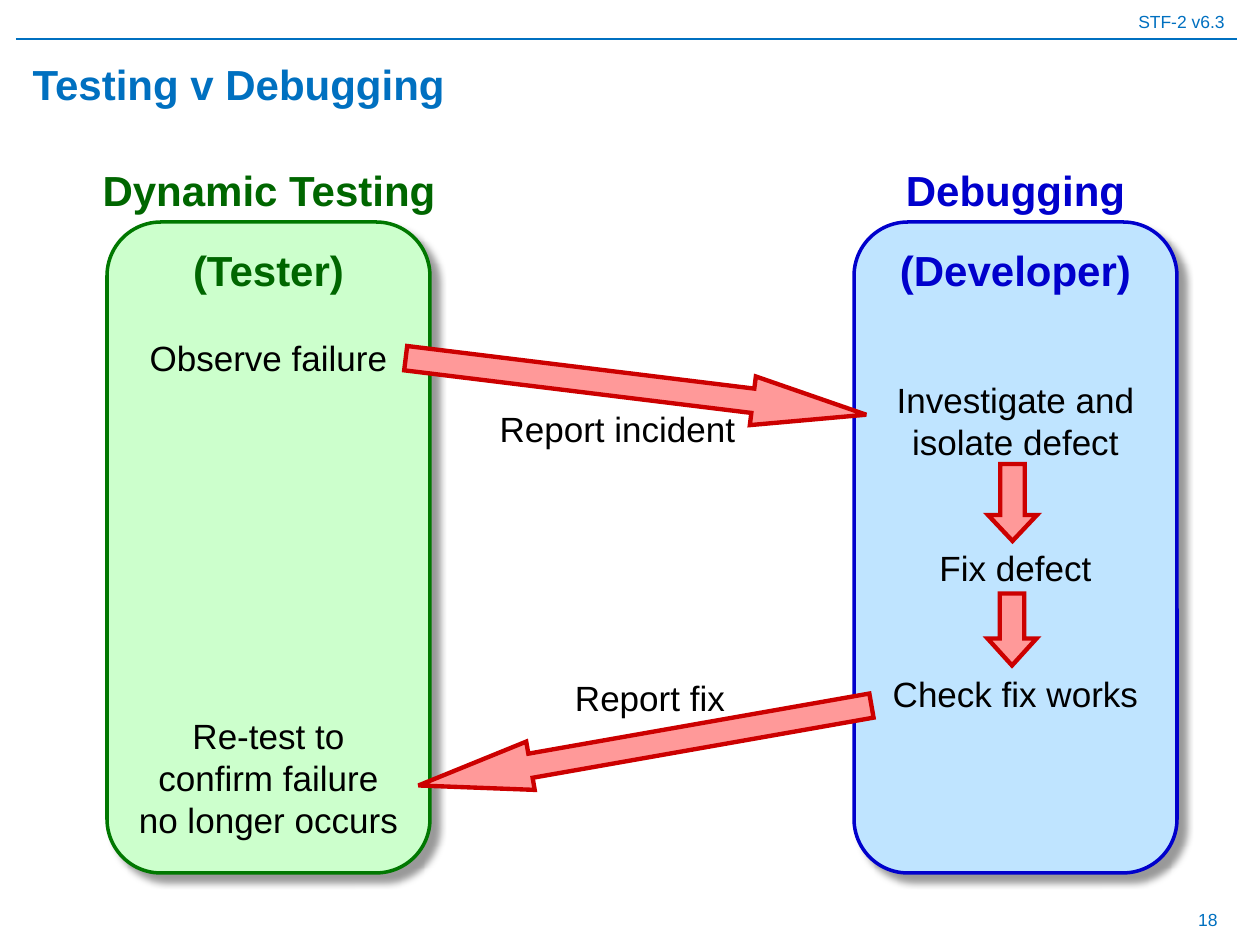
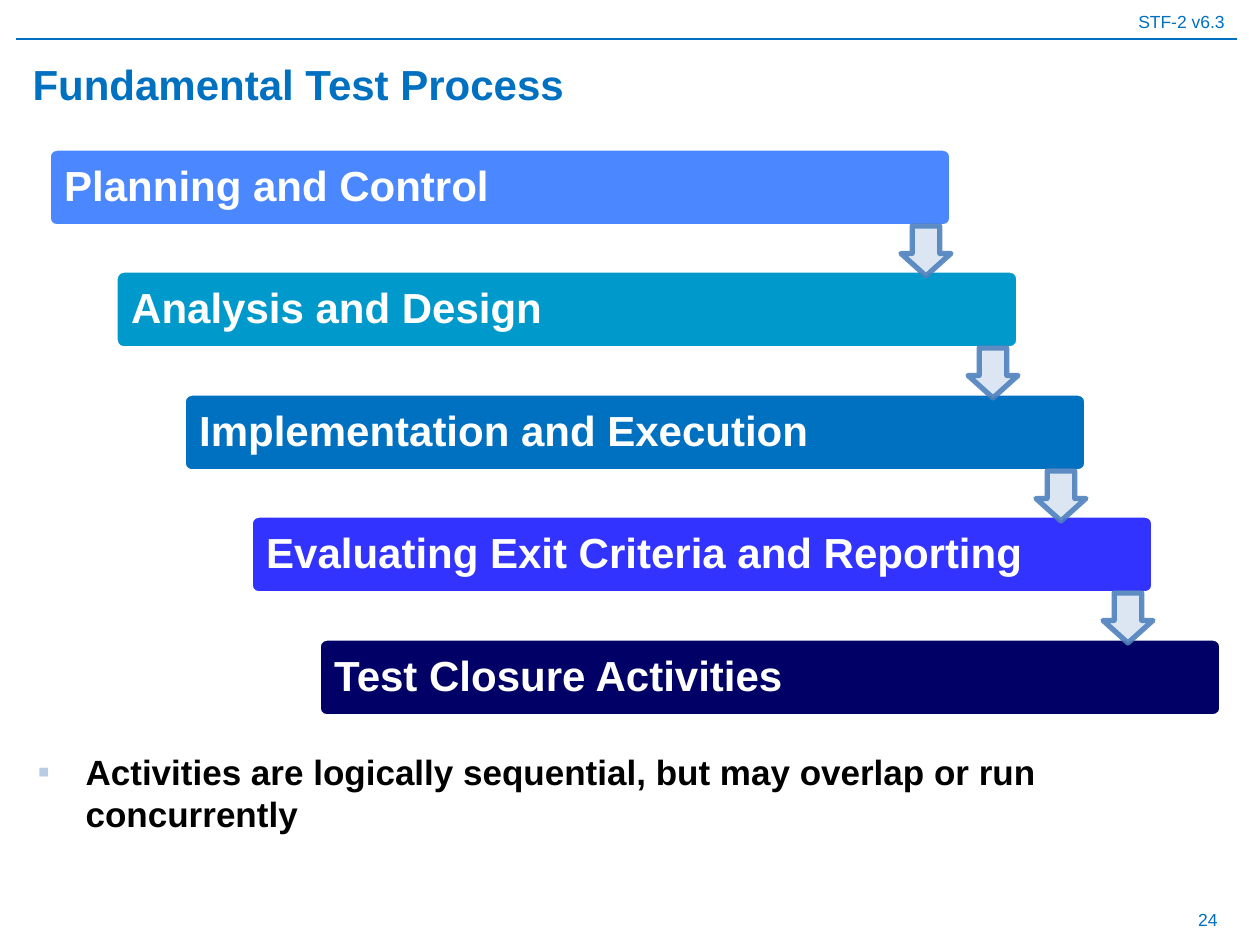
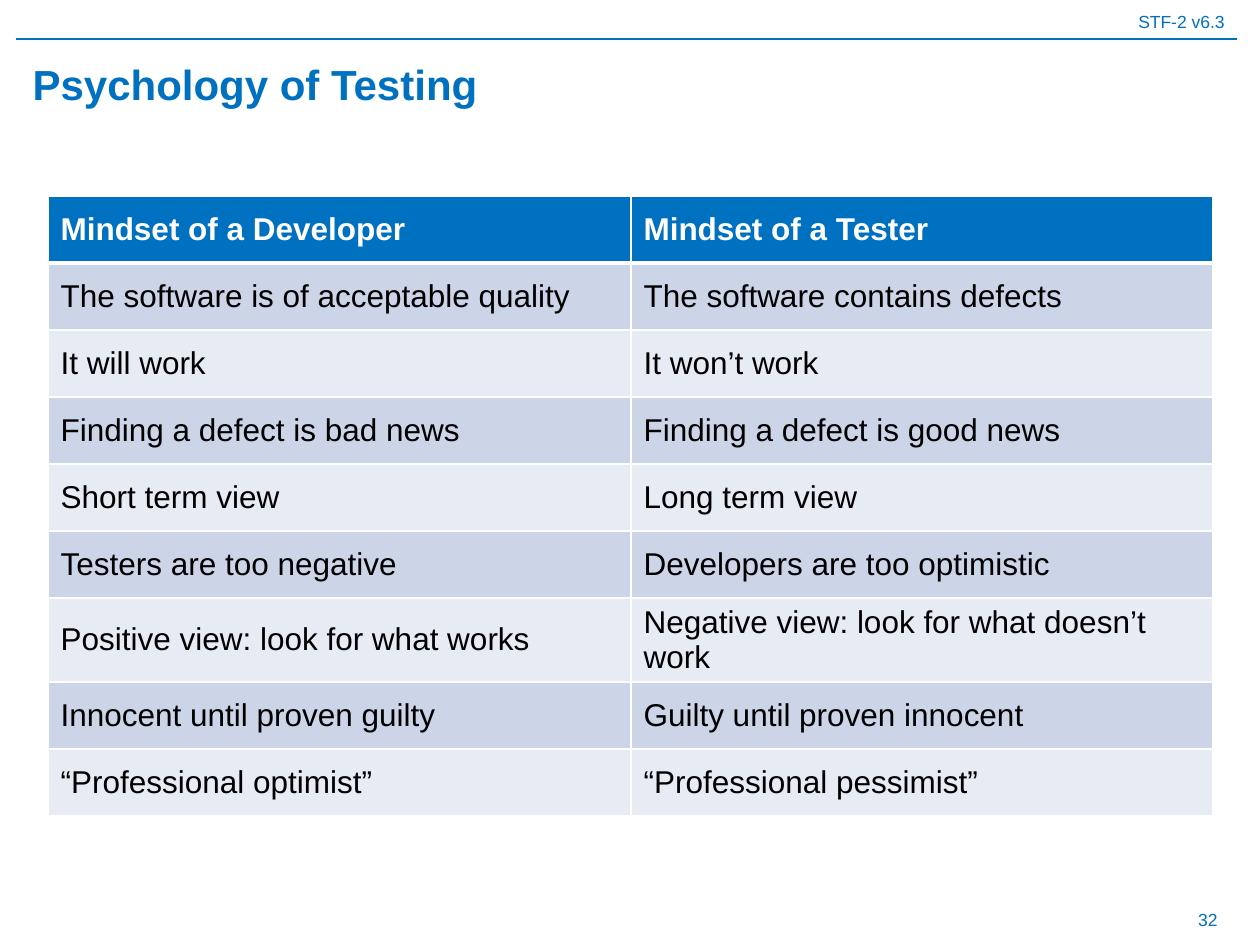
from lxml import etree
from pptx import Presentation
from pptx.dml.color import RGBColor
from pptx.enum.shapes import MSO_CONNECTOR, MSO_SHAPE
from pptx.enum.text import MSO_ANCHOR, MSO_AUTO_SIZE, PP_ALIGN
from pptx.oxml.ns import qn
from pptx.util import Emu, Pt

LEFT, CENTER, RIGHT = PP_ALIGN.LEFT, PP_ALIGN.CENTER, PP_ALIGN.RIGHT
TOP, MIDDLE = MSO_ANCHOR.TOP, MSO_ANCHOR.MIDDLE
FIXED_SIZE = MSO_AUTO_SIZE.NONE
ROUNDED, RIGHT_ARROW, DOWN_ARROW = (
    MSO_SHAPE.ROUNDED_RECTANGLE, MSO_SHAPE.RIGHT_ARROW, MSO_SHAPE.DOWN_ARROW)
STRAIGHT = MSO_CONNECTOR.STRAIGHT

PX = 914400 / 126  # EMU per pixel
TITLE_ONLY, TITLE_AND_BODY = 5, 1

THEME = {
    "font": "Arial",
    "color": {
        "brand": "0070C0", "ink": "000000", "white": "FFFFFF",
        "tester": "006600", "tester_fill": "CCFFCC", "tester_line": "007800",
        "developer": "0000CC", "developer_fill": "BFE4FF",
        "flow_fill": "FF9999", "flow_line": "CC0000",
        "step_fill": "DCE6F2", "step_line": "4F81BD", "bullet": "B8CCE4",
        "band_dark": "CCD5E8", "band_light": "E7EBF4",
        "planning": "4B87FF", "analysis": "0099CC",
        "evaluating": "3333FF", "closure": "000066",
    },
    # style: size, bold, line height (points)
    "text": {
        "heading": (24, True, 29), "bar": (24, True, 26),
        "body": (20, False, 24), "point": (20, True, 24),
        "header_cell": (18, True, 20), "cell": (18, False, 20),
        "small": (10, False, 12),
    },
}
COLOR = {name: RGBColor.from_string(value) for name, value in THEME["color"].items()}


def write(frame, text, style, color, align=LEFT, anchor=TOP, wrap=True, gap=0):
    """Add one formatted paragraph to a text frame and return it."""
    size, bold, line_height = THEME["text"][style]
    para = frame.add_paragraph() if frame.text else frame.paragraphs[0]
    para.text = text
    formats = [
        (frame, {"auto_size": FIXED_SIZE, "word_wrap": wrap, "vertical_anchor": anchor}),
        (para, {"alignment": align, "line_spacing": Pt(line_height),
                "space_before": Pt(gap), "space_after": Pt(0)}),
    ]
    for span in para.runs:
        span.font.color.rgb = COLOR[color]
        formats.append((span.font, {"name": THEME["font"], "size": Pt(size), "bold": bold}))
    for target, values in formats:
        for name, value in values.items():
            setattr(target, name, value)
    return para


def draw(page, kind, place, fill, line, width, adjust):
    """Add a flat preset shape, placed in pixels, with its fill and outline."""
    shape = page.shapes.add_shape(kind, *[Emu(round(n * PX)) for n in place])
    shape.shadow.inherit = False
    shape.fill.solid()
    shape.fill.fore_color.rgb = COLOR[fill]
    shape.line.color.rgb = COLOR[line]
    shape.line.width = Pt(width)
    for index, value in enumerate(adjust):
        shape.adjustments[index] = value
    return shape


deck = Presentation()
deck.slide_width, deck.slide_height = Emu(round(1260 * PX)), Emu(round(945 * PX))

# Shared frame: title, header, rule and page number
pages = []
for title, number, layout in [
    ("Testing v Debugging", "18", TITLE_ONLY),
    ("Fundamental Test Process", "24", TITLE_AND_BODY),
    ("Psychology of Testing", "32", TITLE_ONLY),
]:
    page = deck.slides.add_slide(deck.slide_layouts[layout])
    pages.append(page)
    heading = page.shapes.title
    heading.left, heading.top, heading.width, heading.height = [
        Emu(round(n * PX)) for n in (20, 49, 1211, 69)]
    write(heading.text_frame, title, "heading", "brand", anchor=MIDDLE)
    for text, place, anchor in [
        ("STF-2 v6.3", (0, 5, 1237, 34), TOP),
        (number, (936, 895, 294, 50), MIDDLE),
    ]:
        box = page.shapes.add_textbox(*[Emu(round(n * PX)) for n in place])
        write(box.text_frame, text, "small", "brand", RIGHT, anchor)
    rule = page.shapes.add_connector(
        STRAIGHT, *[Emu(round(n * PX)) for n in (16, 39, 1237, 39)])
    rule.line.color.rgb = COLOR["brand"]
    rule.line.width = Pt(0.75)
    etree.SubElement(rule._element.spPr, qn("a:effectLst"))

debugging_page, process_page, mindset_page = pages

# Testing v Debugging: two role panels; each step has a gap above it in lines
for left, role, fill, line, color, steps in [
    (107, "(Tester)", "tester_fill", "tester_line", "tester",
     [(1, "Observe failure"), (8, "Re-test to\vconfirm failure\vno longer occurs")]),
    (854, "(Developer)", "developer_fill", "developer", "developer",
     [(2, "Investigate and\visolate defect"), (2, "Fix defect"), (2, "Check fix works")]),
]:
    panel = draw(debugging_page, ROUNDED, (left, 222, 323, 651), fill, line, 2, [0.1667])
    effects = panel._element.spPr.find(qn("a:effectLst"))
    shadow = etree.SubElement(effects, qn("a:outerShdw"), blurRad="50800",
                              dist="76200", dir="2700000", algn="tl", rotWithShape="0")
    tint = etree.SubElement(shadow, qn("a:srgbClr"), val=THEME["color"]["ink"])
    etree.SubElement(tint, qn("a:alpha"), val="40000")
    write(panel.text_frame, role, "heading", color, CENTER, wrap=False)
    for lines, step in steps:
        write(panel.text_frame, step, "body", "ink", CENTER, wrap=False,
              gap=lines * THEME["text"]["body"][2])

for place, angle, head in [
    ((404, 362, 464, 49), 7, 2.33),
    ((974, 478, 77, 49), 90, 0.53),
    ((976, 605, 72, 49), 90, 0.55),
    ((415, 721, 460, 49), 170, 2.32),
]:
    arrow = draw(debugging_page, RIGHT_ARROW, place, "flow_fill", "flow_line", 2.5, [0.5, head])
    arrow.rotation = angle
    etree.SubElement(arrow.line._get_or_add_ln(), qn("a:miter"), lim="800000")

for text, place, style, color in [
    ("Report incident", (479, 401, 277, 55), "body", "ink"),
    ("Report fix", (553, 670, 194, 55), "body", "ink"),
    ("Dynamic Testing", (88, 158, 362, 63), "heading", "tester"),
    ("Debugging", (892, 158, 247, 63), "heading", "developer"),
]:
    label = debugging_page.shapes.add_textbox(*[Emu(round(n * PX)) for n in place])
    write(label.text_frame, text, style, color, CENTER)

# Fundamental Test Process: a staircase of bars, then the arrows between them
activities = [
    ("Planning and Control", "planning"),
    ("Analysis and Design", "analysis"),
    ("Implementation and Execution", "brand"),
    ("Evaluating Exit Criteria and Reporting", "evaluating"),
    ("Test Closure Activities", "closure"),
]
stairs = [(step * 135 // 2, step * 245 // 2) for step in range(len(activities))]
for (across, down), (activity, fill) in zip(stairs, activities):
    bar = draw(process_page, ROUNDED, (49 + across, 149 + down, 902, 77),
               fill, "white", 2, [0.1])
    bar.text_frame.margin_left = Emu(round(13 * PX))
    write(bar.text_frame, activity, "bar", "white", anchor=MIDDLE)
for across, down in stairs[:-1]:
    arrow = draw(process_page, DOWN_ARROW, (901 + across, 226 + down, 50, 50),
                 "step_fill", "step_line", 3, [0.55, 0.45])
    tint = arrow.line._get_or_add_ln().find(".//" + qn("a:srgbClr"))
    etree.SubElement(tint, qn("a:alpha"), val="90000")

body = process_page.placeholders[1]
body.left, body.top, body.width, body.height = [
    Emu(round(n * PX)) for n in (25, 744, 1216, 149)]
point = write(body.text_frame,
              "Activities are logically sequential, but may overlap or run concurrently",
              "point", "ink")
properties = point._p.get_or_add_pPr()
properties.set("marL", str(round(48 * PX)))
properties.set("indent", str(round(-48 * PX)))
bullet_color = etree.SubElement(properties, qn("a:buClr"))
etree.SubElement(bullet_color, qn("a:srgbClr"), val=THEME["color"]["bullet"])
etree.SubElement(properties, qn("a:buFont"), typeface=THEME["font"])
etree.SubElement(properties, qn("a:buChar"), char="▪")

# Psychology of Testing: mindset table
mindsets = [
    ("Mindset of a Developer", "Mindset of a Tester"),
    ("The software is of acceptable quality", "The software contains defects"),
    ("It will work", "It won’t work"),
    ("Finding a defect is bad news", "Finding a defect is good news"),
    ("Short term view", "Long term view"),
    ("Testers are too negative", "Developers are too optimistic"),
    ("Positive view: look for what works", "Negative view: look for what doesn’t work"),
    ("Innocent until proven guilty", "Guilty until proven innocent"),
    ("“Professional optimist”", "“Professional pessimist”"),
]
row_heights = [67] * len(mindsets)
row_heights[6] = 84  # the one row with two lines
table = mindset_page.shapes.add_table(
    len(mindsets), 2,
    *[Emu(round(n * PX)) for n in (48, 196, 1165, sum(row_heights))]).table
for column, width in zip(table.columns, (583, 582)):
    column.width = Emu(round(width * PX))
for row, height in enumerate(row_heights):
    table.rows[row].height = Emu(round(height * PX))
    if row == 0:
        style, color, fill = "header_cell", "white", "brand"
    else:
        style, color, fill = "cell", "ink", "band_dark" if row % 2 else "band_light"
    borders = {"a:lnL": 1, "a:lnR": 1, "a:lnT": 3 if row == 1 else 1,
               "a:lnB": 3 if row == 0 else 1}
    for column, text in enumerate(mindsets[row]):
        cell = table.cell(row, column)
        write(cell.text_frame, text, style, color)
        cell.vertical_anchor = MIDDLE
        for side, width in borders.items():
            edge = etree.SubElement(cell._tc.get_or_add_tcPr(), qn(side), w=str(Pt(width)))
            paint = etree.SubElement(edge, qn("a:solidFill"))
            etree.SubElement(paint, qn("a:srgbClr"), val=THEME["color"]["white"])
        cell.fill.solid()
        cell.fill.fore_color.rgb = COLOR[fill]

deck.save("out.pptx")
